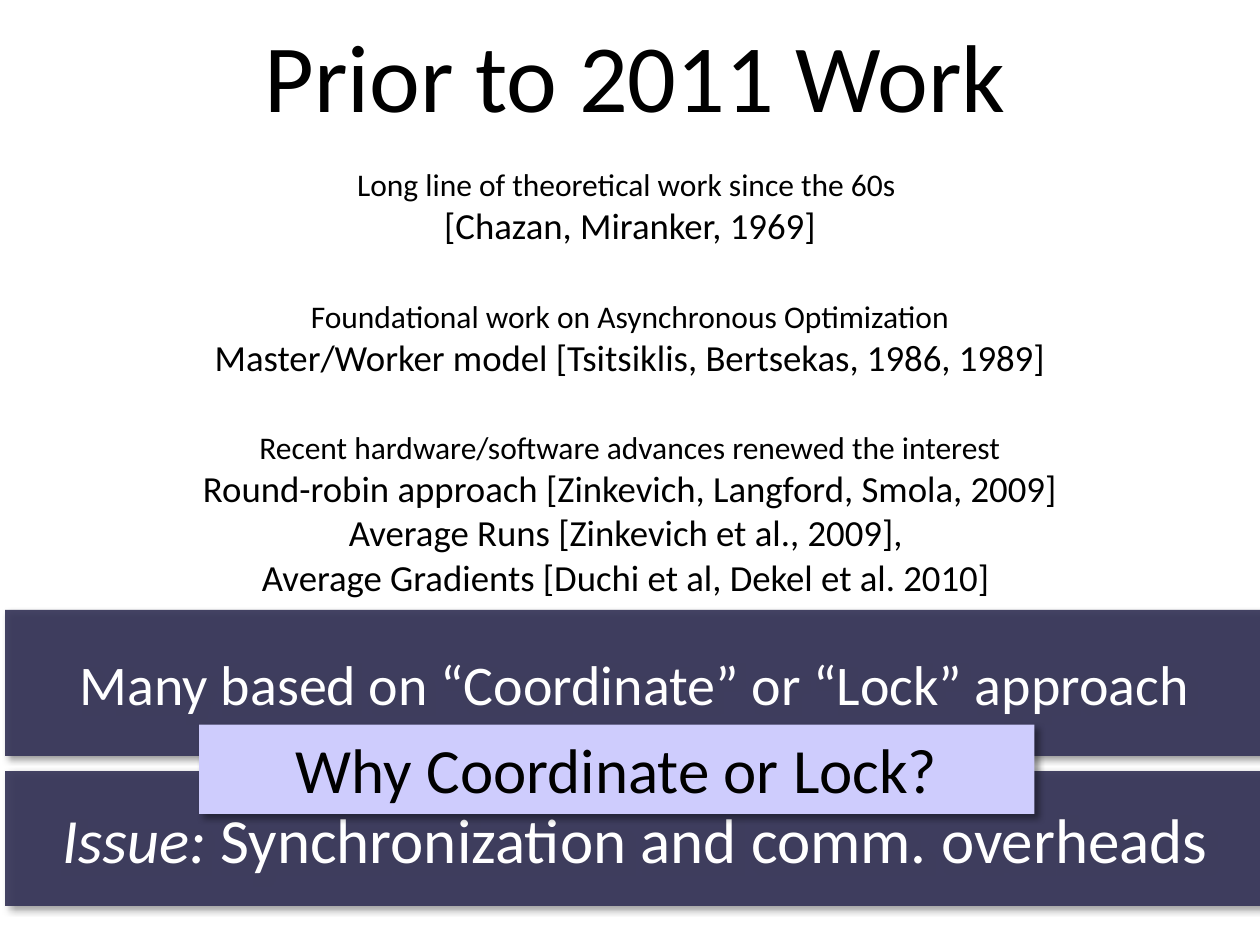
from dataclasses import dataclass

from lxml.etree import SubElement
from pptx import Presentation
from pptx.dml.color import RGBColor
from pptx.enum.shapes import MSO_SHAPE
from pptx.enum.text import MSO_ANCHOR, MSO_AUTO_SIZE, PP_ALIGN
from pptx.oxml.ns import qn
from pptx.util import Inches, Pt


@dataclass(frozen=True)
class Theme:
    font: str = "Calibri"
    dark: str = "373659"
    light: str = "CECCFD"
    black: str = "000000"
    white: str = "FFFFFF"
    title: int = 55
    banner: int = 36
    summary: int = 32
    topic: int = 18
    citation: int = 21
    group_gap: float = 28.4


@dataclass(frozen=True)
class Span:
    text: str
    size: int
    color: str
    italic: bool = False


@dataclass(frozen=True)
class Frame:
    left: float
    top: float
    width: float
    height: float

    def lengths(self) -> list:
        return [Inches(v) for v in (self.left, self.top, self.width, self.height)]


@dataclass(frozen=True)
class Banner:
    frame: Frame
    fill: str
    spans: tuple[Span, ...]
    opacity: int = 100
    frame_format: tuple = (("vertical_anchor", MSO_ANCHOR.MIDDLE),)


@dataclass(frozen=True)
class Topic:
    heading: str
    citations: tuple[str, ...]


THEME = Theme()

TOPICS = (
    Topic("Long line of theoretical work since the 60s ",
          ("[Chazan, Miranker, 1969]",)),
    Topic("Foundational work on Asynchronous Optimization",
          ("Master/Worker model [Tsitsiklis, Bertsekas, 1986, 1989]",)),
    Topic("Recent hardware/software advances renewed the interest",
          ("Round-robin approach [Zinkevich, Langford, Smola, 2009]",
           "Average Runs [Zinkevich et al., 2009], ",
           "Average Gradients [Duchi et al, Dekel et al. 2010] ")),
)

BANNERS = (
    Banner(Frame(0.04, 6.12, 10, 1.07), THEME.dark,
           (Span("Issue: ", THEME.banner, THEME.white, True),
            Span("Synchronization and comm. overheads", THEME.banner, THEME.white)), 93),
    Banner(Frame(0.04, 4.84, 10, 1.16), THEME.dark,
           (Span("Many based on “Coordinate” or “Lock” approach",
                 THEME.summary, THEME.white),), 93),
    Banner(Frame(1.58, 5.75, 6.63, 0.71), THEME.light,
           (Span("Why Coordinate or Lock?", THEME.banner, THEME.black),),
           frame_format=(("vertical_anchor", MSO_ANCHOR.TOP),
                         ("auto_size", MSO_AUTO_SIZE.SHAPE_TO_FIT_TEXT))),
)


def apply_format(target, values: dict) -> None:
    for name, value in values.items():
        setattr(target, name, value)


def add_span(para, span: Span) -> None:
    run = para.add_run()
    run.text = span.text
    apply_format(run.font, {"name": THEME.font, "size": Pt(span.size),
                            "italic": span.italic})
    run.font.color.rgb = RGBColor.from_string(span.color)


def add_text_box(page, frame: Frame, values: dict):
    text_frame = page.shapes.add_textbox(*frame.lengths()).text_frame
    apply_format(text_frame, {"word_wrap": True, **values})
    return text_frame


def add_title(page, text: str) -> None:
    text_frame = add_text_box(page, Frame(0.04, -0.22, 10, 1.61),
                              {"vertical_anchor": MSO_ANCHOR.MIDDLE})
    para = text_frame.paragraphs[0]
    para.alignment = PP_ALIGN.CENTER
    add_span(para, Span(text, THEME.title, THEME.black))


def add_topics(page, topics: tuple[Topic, ...]) -> None:
    text_frame = add_text_box(page, Frame(0.73, 1.24, 8.54, 4.83),
                              {"margin_top": Inches(0.07)})
    for index, topic in enumerate(topics):
        para = text_frame.add_paragraph() if index else text_frame.paragraphs[0]
        para.alignment = PP_ALIGN.CENTER
        if index:
            para.space_before = Pt(THEME.group_gap)
        add_span(para, Span(topic.heading, THEME.topic, THEME.black))
        for citation in topic.citations:
            para.add_line_break()
            add_span(para, Span(citation, THEME.citation, THEME.black))


def add_alpha(color, percent: int) -> None:
    SubElement(color, qn("a:alpha"), val=str(percent * 1000))


def add_shadow(box) -> None:
    box.shadow.inherit = False
    effects = box._element.spPr.find(qn("a:effectLst"))
    shadow = SubElement(effects, qn("a:outerShdw"), blurRad=str(Pt(4)),
                        dist=str(Pt(3)), dir=str(45 * 60000), algn="tl",
                        rotWithShape="0")
    add_alpha(SubElement(shadow, qn("a:srgbClr"), val=THEME.black), 40)


def add_banner(page, banner: Banner) -> None:
    box = page.shapes.add_shape(MSO_SHAPE.RECTANGLE, *banner.frame.lengths())
    box.fill.solid()
    box.fill.fore_color.rgb = RGBColor.from_string(banner.fill)
    if banner.opacity < 100:
        add_alpha(box._element.spPr.find(qn("a:solidFill"))[0], banner.opacity)
    box.line.fill.background()
    add_shadow(box)
    apply_format(box.text_frame, {"word_wrap": True, **dict(banner.frame_format)})
    para = box.text_frame.paragraphs[0]
    para.alignment = PP_ALIGN.CENTER
    for span in banner.spans:
        add_span(para, span)


def main() -> None:
    deck = Presentation()
    apply_format(deck, {"slide_width": Inches(10), "slide_height": Inches(7.5)})
    page = deck.slides.add_slide(deck.slide_layouts[6])
    add_title(page, "Prior to 2011 Work")
    add_topics(page, TOPICS)
    for banner in BANNERS:
        add_banner(page, banner)
    deck.save("out.pptx")


if __name__ == "__main__":
    main()
